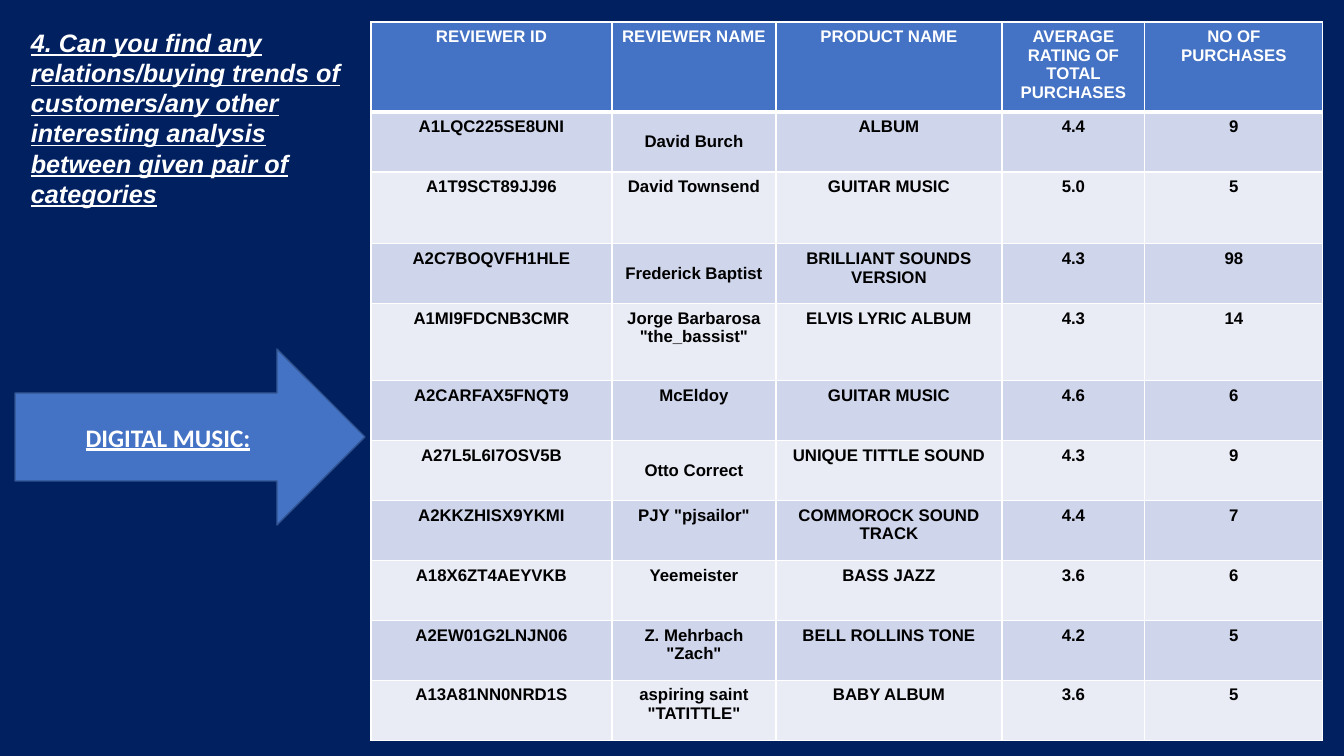
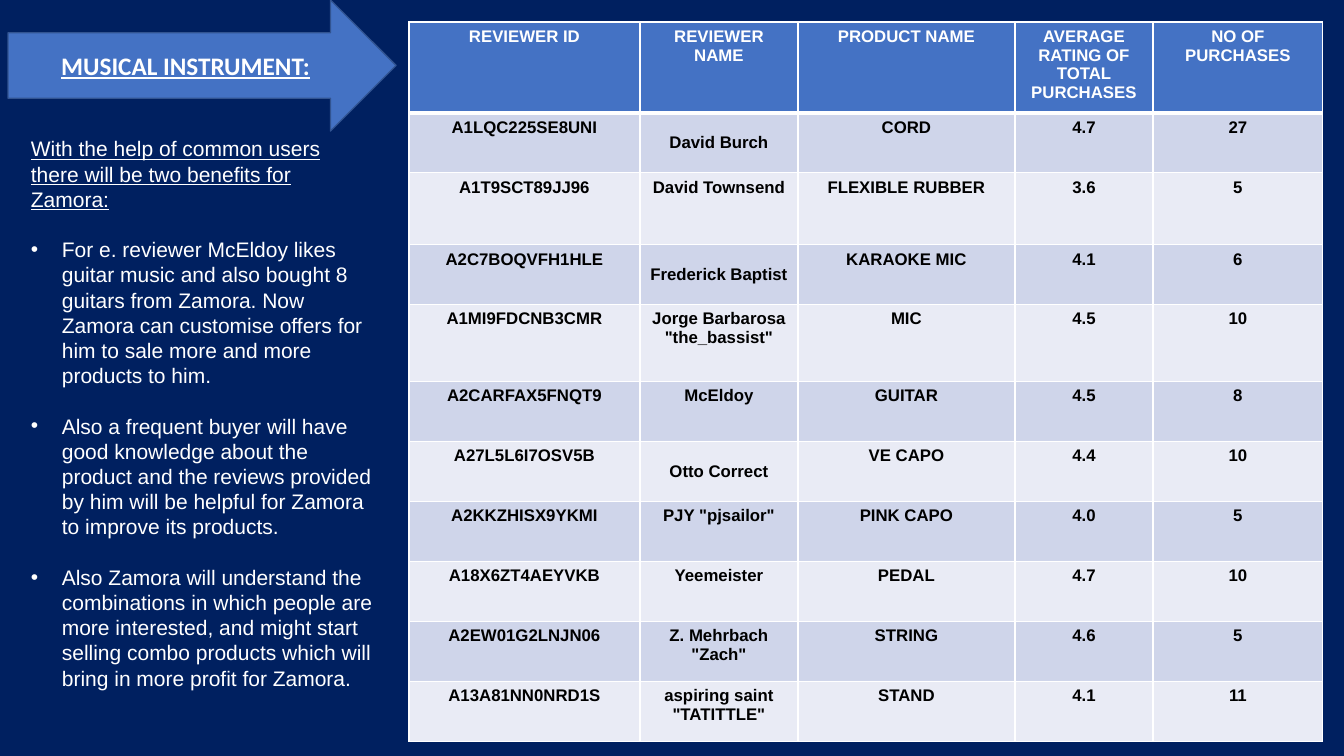
from dataclasses import dataclass

from lxml import etree
from pptx import Presentation
from pptx.dml.color import RGBColor
from pptx.enum.shapes import MSO_SHAPE
from pptx.enum.text import MSO_ANCHOR, MSO_AUTO_SIZE, PP_ALIGN
from pptx.oxml.ns import qn
from pptx.util import Emu, Pt

CENTER = PP_ALIGN.CENTER
TOP = MSO_ANCHOR.TOP
MIDDLE = MSO_ANCHOR.MIDDLE
RIGHT_ARROW = MSO_SHAPE.RIGHT_ARROW
GROW_TO_TEXT = MSO_AUTO_SIZE.SHAPE_TO_FIT_TEXT

PAGE_WIDTH, PAGE_HEIGHT = 1344, 756
EMU_PER_PX = 12192000 / PAGE_WIDTH
BLANK_LAYOUT = 6


@dataclass(frozen=True)
class Theme:
    navy: str = "002060"
    blue: str = "4472C4"
    outline: str = "325491"
    dark_band: str = "CFD5EA"
    light_band: str = "E9EBF5"
    white: str = "FFFFFF"
    black: str = "000000"
    body_font: str = "Arial"
    label_font: str = "Calibri"
    heading_size: int = 18
    body_size: int = 15
    table_size: int = 12
    paragraph_gap: int = 18
    thin_line: int = 1
    thick_line: int = 3


THEME = Theme()

TABLE_TOP = 22
ROW_HEIGHTS = [90, 60, 72, 60, 77] + [60] * 6
BULLET_INDENT = 31

HEADINGS = ("REVIEWER ID", "REVIEWER NAME", "PRODUCT NAME",
            "AVERAGE RATING OF TOTAL PURCHASES", "NO OF PURCHASES")

REVIEWERS = [
    ("A1LQC225SE8UNI", "David Burch"),
    ("A1T9SCT89JJ96", "David Townsend"),
    ("A2C7BOQVFH1HLE", "Frederick Baptist"),
    ("A1MI9FDCNB3CMR", 'Jorge Barbarosa "the_bassist"'),
    ("A2CARFAX5FNQT9", "McEldoy"),
    ("A27L5L6I7OSV5B", "Otto Correct"),
    ("A2KKZHISX9YKMI", 'PJY "pjsailor"'),
    ("A18X6ZT4AEYVKB", "Yeemeister"),
    ("A2EW01G2LNJN06", 'Z. Mehrbach "Zach"'),
    ("A13A81NN0NRD1S", 'aspiring saint "TATITTLE"'),
]
MIDDLE_NAMES = {"David Burch", "Frederick Baptist", "Otto Correct"}

MUSIC_PURCHASES = [
    ("ALBUM", "4.4", "9"),
    ("GUITAR MUSIC", "5.0", "5"),
    ("BRILLIANT SOUNDS VERSION", "4.3", "98"),
    ("ELVIS LYRIC ALBUM", "4.3", "14"),
    ("GUITAR MUSIC", "4.6", "6"),
    ("UNIQUE TITTLE SOUND", "4.3", "9"),
    ("COMMOROCK SOUND TRACK", "4.4", "7"),
    ("BASS JAZZ", "3.6", "6"),
    ("BELL ROLLINS TONE", "4.2", "5"),
    ("BABY ALBUM", "3.6", "5"),
]

INSTRUMENT_PURCHASES = [
    ("CORD", "4.7", "27"),
    ("FLEXIBLE RUBBER", "3.6", "5"),
    ("KARAOKE MIC", "4.1", "6"),
    ("MIC", "4.5", "10"),
    ("GUITAR", "4.5", "8"),
    ("VE CAPO", "4.4", "10"),
    ("PINK CAPO", "4.0", "5"),
    ("PEDAL", "4.7", "10"),
    ("STRING", "4.6", "5"),
    ("STAND", "4.1", "11"),
]

QUESTION = ("4. Can you find any relations/buying trends of customers/any other "
            "interesting analysis between given pair of categories")

BENEFITS_INTRO = "With the help of common users there will be two benefits for Zamora:"
BENEFITS = [
    "For e. reviewer McEldoy likes guitar music and also bought 8 guitars from "
    "Zamora. Now Zamora can customise offers for him to sale more and more "
    "products to him.",
    "Also a frequent buyer will have good knowledge about the product and the "
    "reviews provided by him will be helpful for Zamora to improve its products.",
    "Also Zamora will understand the combinations in which people are more "
    "interested, and might start selling combo products which will bring in more "
    "profit for Zamora.",
]


def px(length):
    return Emu(round(length * EMU_PER_PX))


def rgb(color):
    return RGBColor.from_string(color)


def paint(fill, color):
    fill.solid()
    fill.fore_color.rgb = rgb(color)


def add_span(para, text, size, color=THEME.white, face=THEME.body_font,
             bold=False, italic=False, underline=False):
    span = para.add_run()
    span.text = text
    font = span.font
    font.name = face
    font.size = Pt(size)
    font.color.rgb = rgb(color)
    font.bold = bold
    font.italic = italic
    font.underline = underline


def add_text_box(page, left, top, width, height):
    box = page.shapes.add_textbox(px(left), px(top), px(width), px(height))
    frame = box.text_frame
    frame.word_wrap = True
    frame.auto_size = GROW_TO_TEXT
    return frame


def add_bullet(frame, text):
    para = frame.add_paragraph()
    para.space_before = Pt(THEME.paragraph_gap)
    properties = para._p.get_or_add_pPr()
    properties.set("marL", str(px(BULLET_INDENT)))
    properties.set("indent", str(px(-BULLET_INDENT)))
    etree.SubElement(properties, qn("a:buFont")).set("typeface", THEME.body_font)
    etree.SubElement(properties, qn("a:buChar")).set("char", "•")
    add_span(para, text, THEME.body_size)


def add_arrow_label(page, text, left, top, width, height):
    arrow = page.shapes.add_shape(
        RIGHT_ARROW, px(left), px(top), px(width), px(height))
    arrow.shadow.inherit = False
    paint(arrow.fill, THEME.blue)
    arrow.line.color.rgb = rgb(THEME.outline)
    arrow.line.width = Pt(THEME.thin_line)
    frame = arrow.text_frame
    frame.word_wrap = True
    frame.vertical_anchor = MIDDLE
    para = frame.paragraphs[0]
    para.alignment = CENTER
    add_span(para, text, THEME.heading_size, face=THEME.label_font,
             bold=True, underline=True)


def set_borders(cell, top, bottom):
    properties = cell._tc.get_or_add_tcPr()
    widths = {"lnL": THEME.thin_line, "lnR": THEME.thin_line,
              "lnT": top, "lnB": bottom}
    for index, (side, width) in enumerate(widths.items()):
        line = etree.Element(qn(f"a:{side}"), w=str(Pt(width)))
        solid = etree.SubElement(line, qn("a:solidFill"))
        etree.SubElement(solid, qn("a:srgbClr")).set("val", THEME.white)
        properties.insert(index, line)


def row_style(row):
    if row == 0:
        return THEME.blue, THEME.white, THEME.thin_line, THEME.thick_line
    band = THEME.dark_band if row % 2 else THEME.light_band
    top = THEME.thick_line if row == 1 else THEME.thin_line
    return band, THEME.black, top, THEME.thin_line


def fill_cell(cell, text, row):
    background, color, top, bottom = row_style(row)
    paint(cell.fill, background)
    set_borders(cell, top, bottom)
    cell.vertical_anchor = MIDDLE if text in MIDDLE_NAMES else TOP
    para = cell.text_frame.paragraphs[0]
    para.alignment = CENTER
    add_span(para, text, THEME.table_size, color, bold=True)


def add_purchase_table(page, left, column_widths, purchases):
    records = [HEADINGS] + [
        reviewer + purchase for reviewer, purchase in zip(REVIEWERS, purchases)]
    table = page.shapes.add_table(
        len(records), len(HEADINGS), px(left), px(TABLE_TOP),
        px(sum(column_widths)), px(sum(ROW_HEIGHTS))).table
    table.horz_banding = False
    for column, width in zip(table.columns, column_widths):
        column.width = px(width)
    for row, (record, height) in enumerate(zip(records, ROW_HEIGHTS)):
        table.rows[row].height = px(height)
        for column, text in enumerate(record):
            fill_cell(table.cell(row, column), text, row)


def add_page(deck):
    return deck.slides.add_slide(deck.slide_layouts[BLANK_LAYOUT])


def build_music_page(deck):
    page = add_page(deck)
    add_purchase_table(page, 371, [241, 164, 226, 143, 178], MUSIC_PURCHASES)
    question = add_text_box(page, 21, 22, 337, 163)
    add_span(question.paragraphs[0], QUESTION, THEME.heading_size,
             bold=True, italic=True, underline=True)
    add_arrow_label(page, "DIGITAL MUSIC:", 15, 349, 350, 176)


def build_instrument_page(deck):
    page = add_page(deck)
    add_purchase_table(page, 409, [231, 158, 217, 138, 170], INSTRUMENT_PURCHASES)
    add_arrow_label(page, "MUSICAL INSTRUMENT:", 8, 0, 388, 131)
    benefits = add_text_box(page, 21, 131, 362, 596)
    add_span(benefits.paragraphs[0], BENEFITS_INTRO, THEME.body_size, underline=True)
    for benefit in BENEFITS:
        add_bullet(benefits, benefit)


def main():
    deck = Presentation()
    deck.slide_width = px(PAGE_WIDTH)
    deck.slide_height = px(PAGE_HEIGHT)
    paint(deck.slide_master.background.fill, THEME.navy)
    build_music_page(deck)
    build_instrument_page(deck)
    deck.save("out.pptx")


if __name__ == "__main__":
    main()
